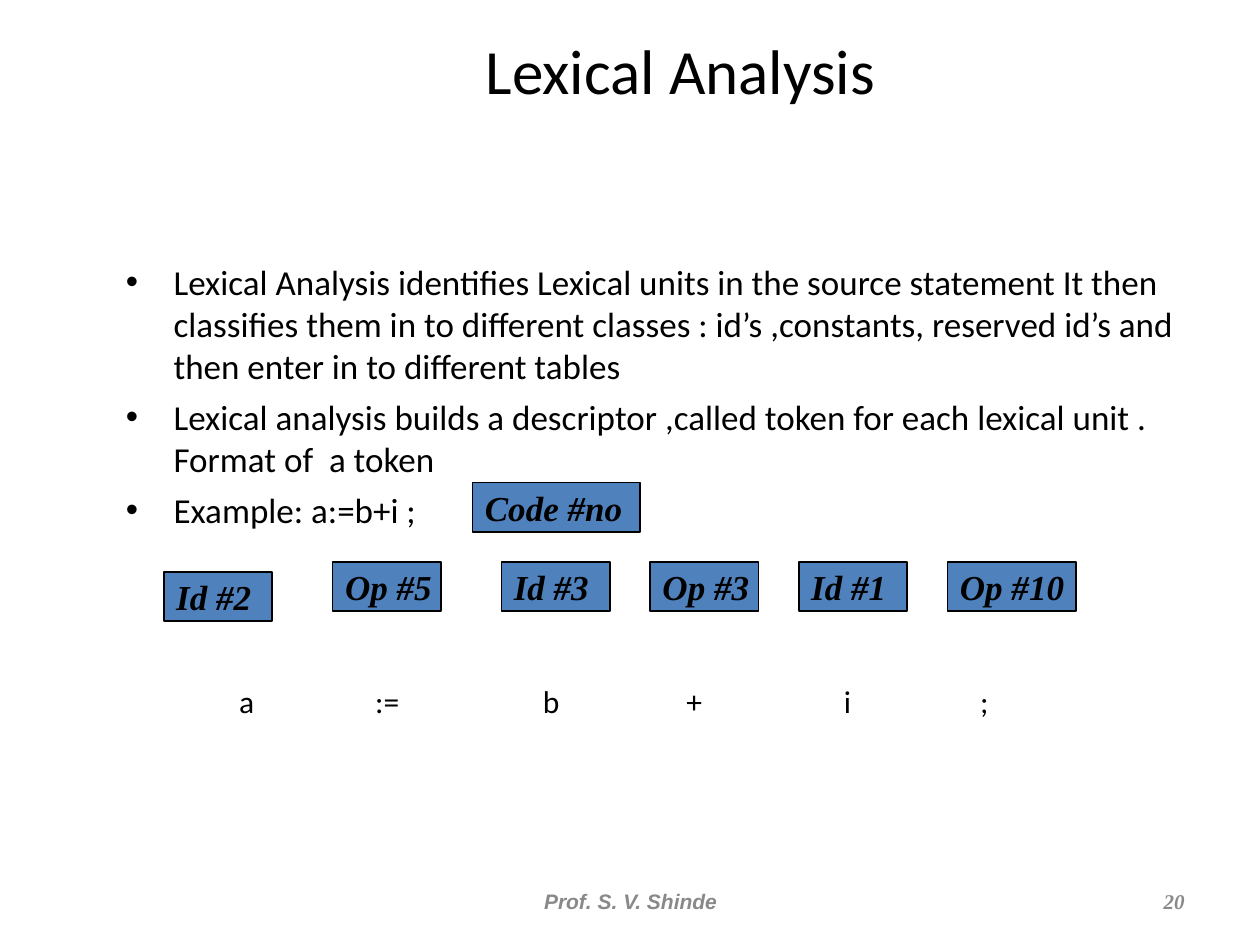
from dataclasses import dataclass

from lxml import etree
from pptx import Presentation
from pptx import util as u
from pptx.dml.color import RGBColor
from pptx.enum import shapes, text
from pptx.oxml import ns
from pptx.slide import Slide

BLACK = RGBColor(0x00, 0x00, 0x00)
GRAY = RGBColor(0x89, 0x89, 0x89)
BLUE = RGBColor(0x4F, 0x81, 0xBD)

BULLETS = [
    "Lexical Analysis identifies Lexical units in the source statement It then "
    "classifies them in to different classes : id’s ,constants, reserved id’s and "
    "then enter in to different tables",
    "Lexical analysis builds a descriptor ,called token for each lexical unit . "
    "Format of  a token",
    "Example: a:=b+i ;",
]
LEXEMES = ["a", ":=", "b", "+", "i", ";"]
LEXEME_STOPS = [0.9, 1.98, 3.31, 4.45, 5.7, 6.78]
TOKENS = [
    ("Code #no", 3.75, 3.83, 1.33),
    ("Id #2", 1.3, 4.54, 0.86),
    ("Op #5", 2.64, 4.46, 0.86),
    ("Id #3", 3.98, 4.46, 0.86),
    ("Op #3", 5.16, 4.46, 0.86),
    ("Id #1", 6.34, 4.46, 0.86),
    ("Op #10", 7.52, 4.46, 1.02),
]


@dataclass
class SlideBuilder:
    """Draws the elements of the lexical analysis slide in one style."""

    slide: Slide
    body_font: str = "Calibri"
    token_font: str = "Times New Roman"

    def style(self, para, name, size, color=BLACK, strong=False):
        font = para.font
        font.name, font.size = name, u.Pt(size)
        font.bold = font.italic = strong
        font.color.rgb = color

    def frame(self, left, top, width, height, anchor=text.MSO_ANCHOR.MIDDLE):
        box = self.slide.shapes.add_textbox(*map(u.Inches, (left, top, width, height)))
        box.text_frame.word_wrap = True
        box.text_frame.vertical_anchor = anchor
        return box.text_frame

    def label(self, words, place, align, name, size, color=BLACK, strong=False):
        para = self.frame(*place).paragraphs[0]
        para.text = words
        para.alignment = align
        self.style(para, name, size, color, strong)

    def body(self, place, bullets, lexemes, stops):
        frame = self.frame(*place, anchor=text.MSO_ANCHOR.TOP)
        for index, words in enumerate(bullets):
            para = frame.add_paragraph() if index else frame.paragraphs[0]
            para.text = words
            self.bullet(para)
            self.style(para, self.body_font, 20)
            para.space_before = u.Pt(5 if index else 0)
        row = frame.add_paragraph()
        for lexeme in lexemes:
            row.add_run().text = "\t" + lexeme
        self.tabs(row, stops)
        self.style(row, self.body_font, 18)
        row.space_before = u.Pt(87)

    def bullet(self, para):
        props = para._p.get_or_add_pPr()
        props.set("marL", str(u.Inches(0.38)))
        props.set("indent", str(-u.Inches(0.38)))
        etree.SubElement(props, ns.qn("a:buFont"), typeface="Arial")
        etree.SubElement(props, ns.qn("a:buChar"), char="•")

    def tabs(self, para, stops):
        tab_list = etree.SubElement(para._p.get_or_add_pPr(), ns.qn("a:tabLst"))
        for stop in stops:
            etree.SubElement(tab_list, ns.qn("a:tab"), pos=str(u.Inches(stop)), algn="l")

    def token(self, words, left, top, width):
        box = self.slide.shapes.add_shape(
            shapes.MSO_SHAPE.RECTANGLE, *map(u.Inches, (left, top, width, 0.39)))
        box.shadow.inherit = False
        box.fill.solid()
        box.fill.fore_color.rgb = BLUE
        box.line.color.rgb = BLACK
        box.line.width = u.Pt(1)
        frame = box.text_frame
        frame.word_wrap = True
        frame.margin_right = 0
        frame.vertical_anchor = text.MSO_ANCHOR.MIDDLE
        para = frame.paragraphs[0]
        para.text = words
        para.alignment = text.PP_ALIGN.LEFT
        self.style(para, self.token_font, 20, strong=True)


def main():
    deck = Presentation()
    deck.slide_width, deck.slide_height = u.Inches(10), u.Inches(7.5)
    page = SlideBuilder(deck.slides.add_slide(deck.slide_layouts[6]))
    align = text.PP_ALIGN
    page.label("Lexical Analysis", (1.09, 0.16, 8.62, 0.78), align.CENTER, page.body_font, 36)
    page.body((0.9, 2.02, 8.63, 3.73), BULLETS, LEXEMES, LEXEME_STOPS)
    page.label("Prof. S. V. Shinde", (3.42, 6.95, 3.17, 0.4), align.CENTER,
               "Arial", 12, GRAY, True)
    page.label("20", (7.17, 6.95, 2.33, 0.4), align.RIGHT, page.token_font, 12, GRAY, True)
    for token in TOKENS:
        page.token(*token)
    deck.save("out.pptx")


if __name__ == "__main__":
    main()
